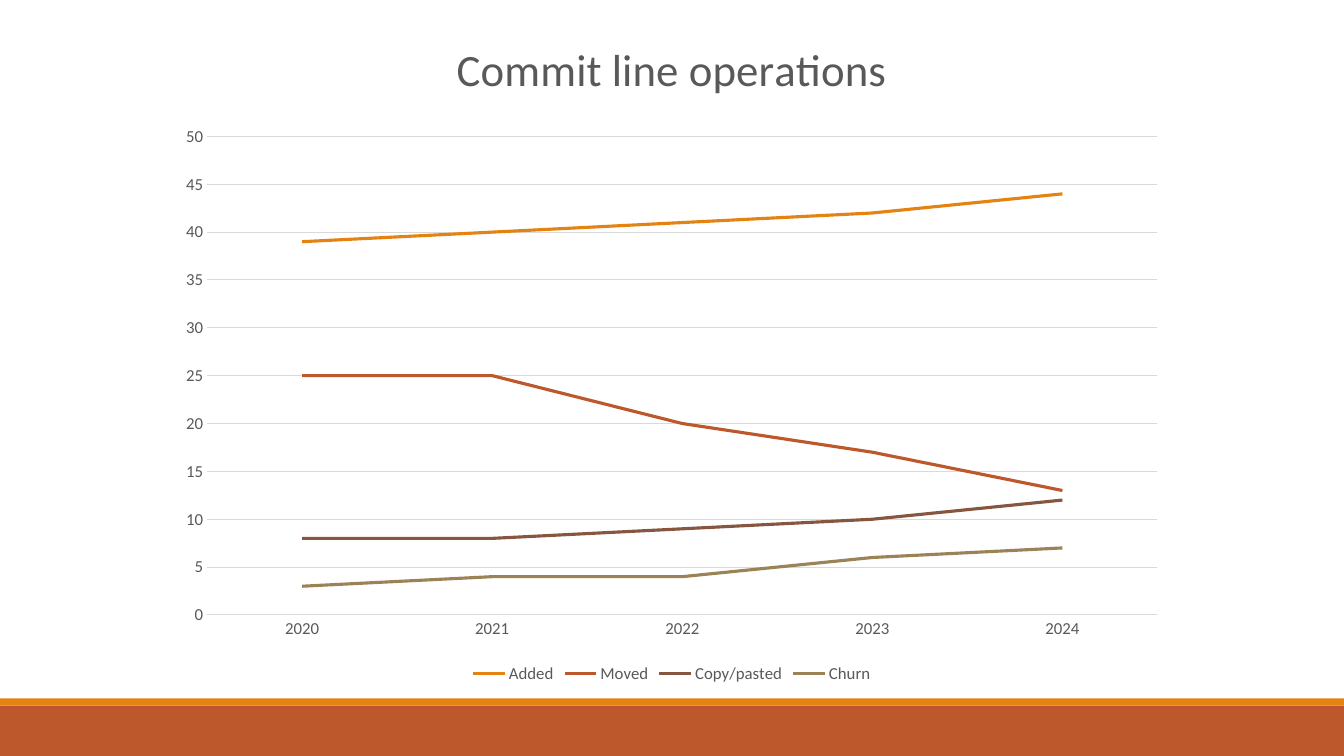
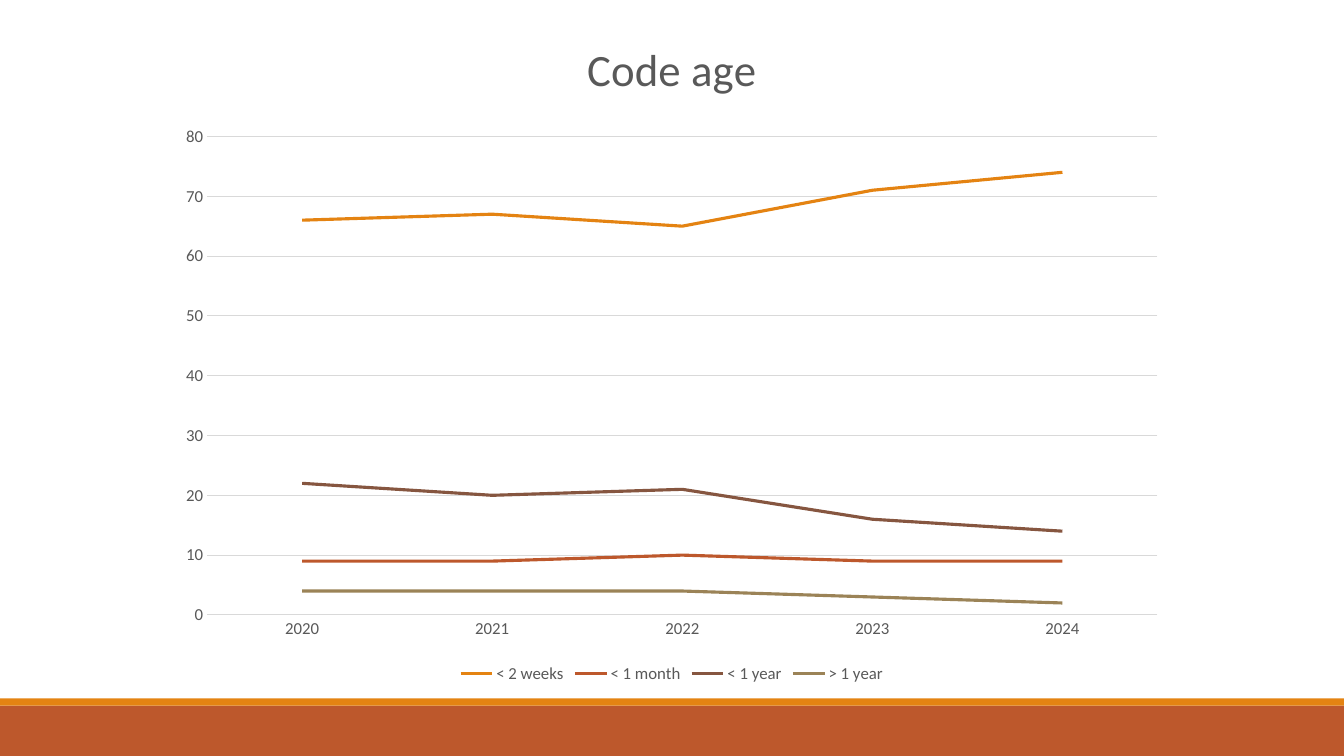
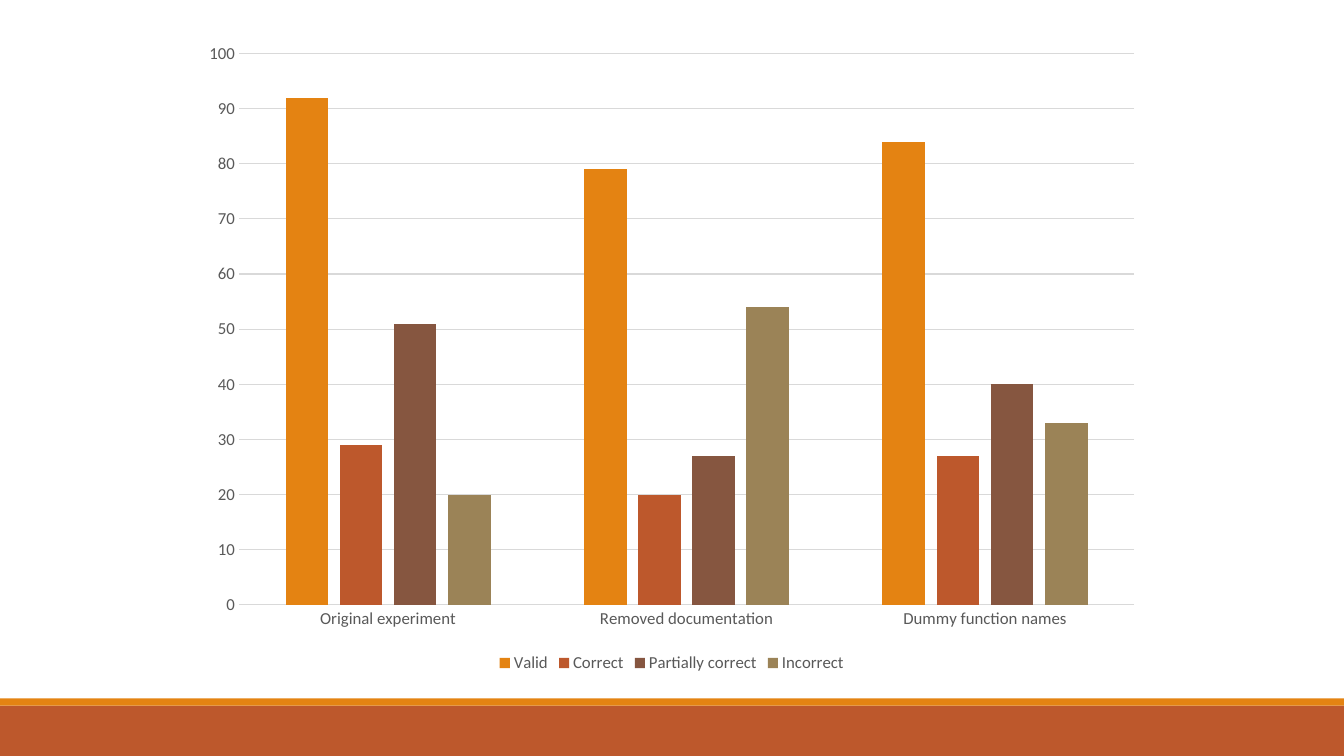
"""Build three chart slides on code changes and an experiment, with shared footer bands."""
from pptx import Presentation
from pptx import util as u
from pptx.chart import data
from pptx.dml import color
from pptx.enum import chart as ch, shapes

COLORS = {"orange": "E48312", "rust": "BD582C", "brown": "865640", "khaki": "9B8357",
          "text": "595959", "grid": "D9D9D9"}
SERIES_COLORS = ("orange", "rust", "brown", "khaki")
BANDS = (("rust", 17.78, 1.27), ("orange", 17.6, 0.18))
FONT = "Calibri"
YEARS = ("2020", "2021", "2022", "2023", "2024")
LINE_BOX = (4.18, 0.29, 25.5, 17.04)
CHARTS = [
    dict(kind="LINE", title="Commit line operations", box=LINE_BOX, top=50, step=5, cats=YEARS,
         series={"Added": (39, 40, 41, 42, 44), "Moved": (25, 25, 20, 17, 13),
                 "Copy/pasted": (8, 8, 9, 10, 12), "Churn": (3, 4, 4, 6, 7)}),
    dict(kind="LINE", title="Code age", box=LINE_BOX, top=80, step=10, cats=YEARS,
         series={"< 2 weeks": (66, 67, 65, 71, 74), "< 1 month": (9, 9, 10, 9, 9),
                 "< 1 year": (22, 20, 21, 16, 14), "> 1 year": (4, 4, 4, 3, 2)}),
    dict(kind="COLUMN_CLUSTERED", title=None, box=(4.79, 0.77, 24.28, 16.29), top=100, step=10,
         cats=("Original experiment", "Removed documentation", "Dummy function names"),
         series={"Valid": (92, 79, 84), "Correct": (29, 20, 27),
                 "Partially correct": (51, 27, 40), "Incorrect": (20, 54, 33)}),
]


def rgb(name):
    return color.RGBColor.from_string(COLORS[name])


def write(tf, content, size=12, fill="text", bold=False):
    r = tf.paragraphs[0].add_run()
    r.text = content
    r.font.name, r.font.size, r.font.bold = FONT, u.Pt(size), bold
    r.font.color.rgb = rgb(fill)


prs = Presentation()
prs.slide_width, prs.slide_height = u.Cm(33.87), u.Cm(19.05)

for spec in CHARTS:
    s = prs.slides.add_slide(prs.slide_layouts[6])
    for name, top, height in BANDS:
        sp = s.shapes.add_shape(shapes.MSO_SHAPE.RECTANGLE, 0, u.Cm(top),
                                prs.slide_width, u.Cm(height))
        sp.shadow.inherit = False
        sp.fill.solid()
        sp.fill.fore_color.rgb = rgb(name)
        sp.line.fill.background()

    cd = data.CategoryChartData(number_format="General")
    cd.categories = spec["cats"]
    for name, values in spec["series"].items():
        cd.add_series(name, values)
    chart = s.shapes.add_chart(ch.XL_CHART_TYPE[spec["kind"]],
                               *(u.Cm(v) for v in spec["box"]), cd).chart
    chart.font.name, chart.font.size = FONT, u.Pt(12)
    chart.font.color.rgb = rgb("text")

    chart.has_title = spec["title"] is not None
    if chart.has_title:
        write(chart.chart_title.text_frame, spec["title"], size=32)
    chart.has_legend = True
    chart.legend.position = ch.XL_LEGEND_POSITION.BOTTOM
    chart.legend.include_in_layout = False

    cat_ax, val_ax = chart.category_axis, chart.value_axis
    for ax in (cat_ax, val_ax):
        ax.major_tick_mark = ax.minor_tick_mark = ch.XL_TICK_MARK.NONE
    val_ax.minimum_scale, val_ax.maximum_scale = 0, spec["top"]
    val_ax.major_unit = spec["step"]
    val_ax.has_major_gridlines = True
    val_ax.format.line.fill.background()
    for line in (cat_ax.format.line, val_ax.major_gridlines.format.line):
        line.color.rgb = rgb("grid")
        line.width = u.Pt(0.75)

    plot = chart.plots[0]
    plot.vary_by_categories = False
    is_line = spec["kind"] == "LINE"
    if not is_line:
        plot.gap_width, plot.overlap = 219, -27
    for series, name in zip(plot.series, SERIES_COLORS):
        if is_line:
            series.smooth = False
            series.marker.style = ch.XL_MARKER_STYLE.NONE
            series.format.line.color.rgb = rgb(name)
            series.format.line.width = u.Pt(2.25)
        else:
            series.format.fill.solid()
            series.format.fill.fore_color.rgb = rgb(name)

prs.save("out.pptx")
